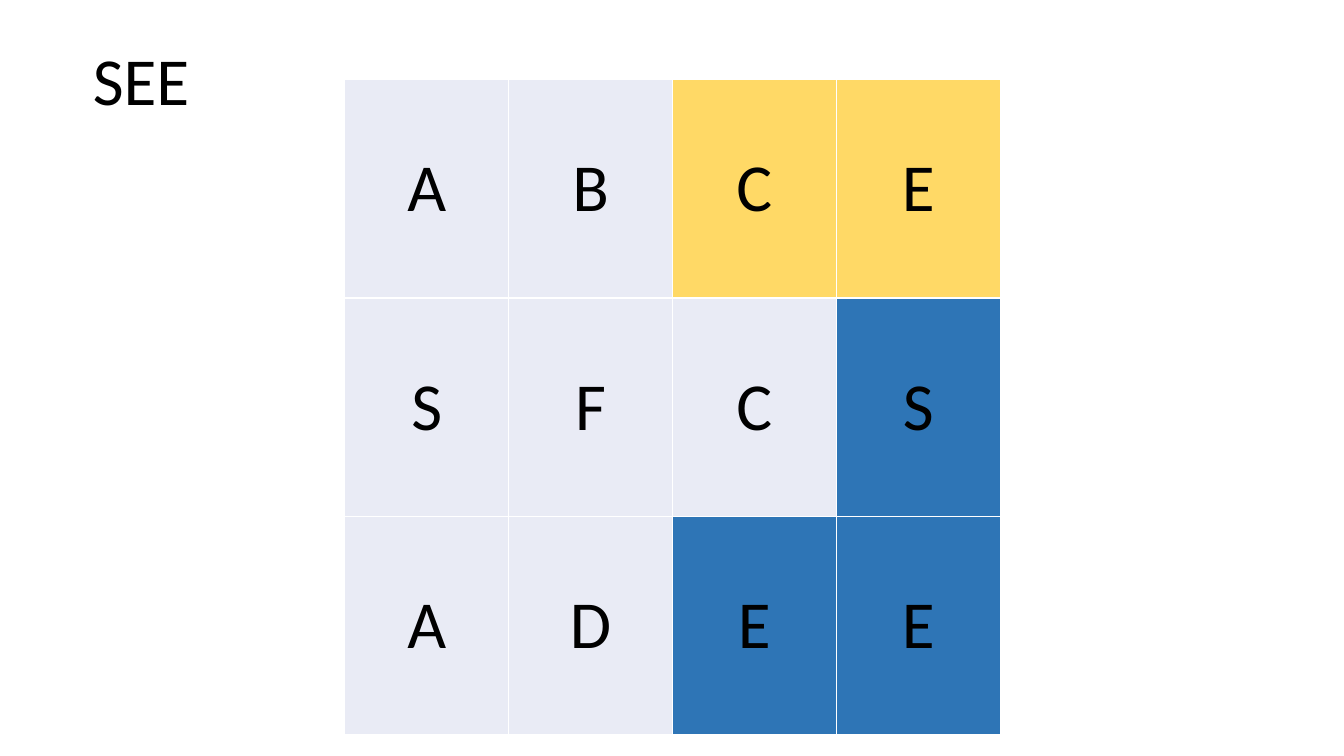
from dataclasses import dataclass

from lxml import etree
from pptx import Presentation
from pptx.dml.color import RGBColor
from pptx.enum.text import MSO_ANCHOR, MSO_AUTO_SIZE, PP_ALIGN
from pptx.oxml.ns import qn
from pptx.util import Inches, Pt

MIDDLE = MSO_ANCHOR.MIDDLE
TOP = MSO_ANCHOR.TOP
NO_AUTOFIT = MSO_AUTO_SIZE.NONE
CENTER = PP_ALIGN.CENTER
LEFT = PP_ALIGN.LEFT

COLORS = {
    "text": "000000",
    "border": "FFFFFF",
    "plain": "E9EBF5",
    "tried": "FFD966",
    "found": "2E75B6",
}
FONT = "Calibri"
FONT_SIZE = 48
TITLE_ONLY_LAYOUT = 5
BOARD_LEFT, BOARD_TOP, BOARD_SIZE = 3.42, 0.79, 6.5


@dataclass
class Letter:
    text: str
    state: str = "plain"


BOARD = [
    [Letter("A"), Letter("B"), Letter("C", "tried"), Letter("E", "tried")],
    [Letter("S"), Letter("F"), Letter("C"), Letter("S", "found")],
    [Letter("A"), Letter("D"), Letter("E", "found"), Letter("E", "found")],
]


def write_text(paragraph, text: str, alignment) -> None:
    paragraph.alignment = alignment
    run = paragraph.add_run()
    run.text = text
    run.font.name = FONT
    run.font.size = Pt(FONT_SIZE)
    run.font.color.rgb = RGBColor.from_string(COLORS["text"])


def add_borders(cell) -> None:
    properties = cell._tc.get_or_add_tcPr()
    for index, side in enumerate(("lnL", "lnR", "lnT", "lnB")):
        line = etree.Element(qn(f"a:{side}"), w=str(Pt(1)))
        fill = etree.SubElement(line, qn("a:solidFill"))
        etree.SubElement(fill, qn("a:srgbClr"), val=COLORS["border"])
        properties.insert(index, line)


def draw_letter(cell, letter: Letter) -> None:
    cell.vertical_anchor = MIDDLE
    cell.fill.solid()
    cell.fill.fore_color.rgb = RGBColor.from_string(COLORS[letter.state])
    add_borders(cell)
    write_text(cell.text_frame.paragraphs[0], letter.text, CENTER)


def add_board(slide) -> None:
    row_count, column_count = len(BOARD), len(BOARD[0])
    table = slide.shapes.add_table(
        row_count, column_count, Inches(BOARD_LEFT), Inches(BOARD_TOP),
        Inches(BOARD_SIZE), Inches(BOARD_SIZE),
    ).table
    table.first_row = False
    table.horz_banding = False
    for row_index, letters in enumerate(BOARD):
        for column_index, letter in enumerate(letters):
            draw_letter(table.cell(row_index, column_index), letter)


def format_title(slide, text: str) -> None:
    title = slide.shapes.title
    title.left, title.top = Inches(0.82), Inches(0.33)
    title.width, title.height = Inches(3.42), Inches(0.91)
    frame = title.text_frame
    frame.word_wrap = True
    frame.auto_size = NO_AUTOFIT
    frame.vertical_anchor = TOP
    write_text(frame.paragraphs[0], text, LEFT)


def main() -> None:
    """Build the word search slide."""
    presentation = Presentation()
    presentation.slide_width = Inches(13.33)
    presentation.slide_height = Inches(7.5)
    slide = presentation.slides.add_slide(presentation.slide_layouts[TITLE_ONLY_LAYOUT])
    format_title(slide, "SEE")
    add_board(slide)
    presentation.save("out.pptx")


if __name__ == "__main__":
    main()
